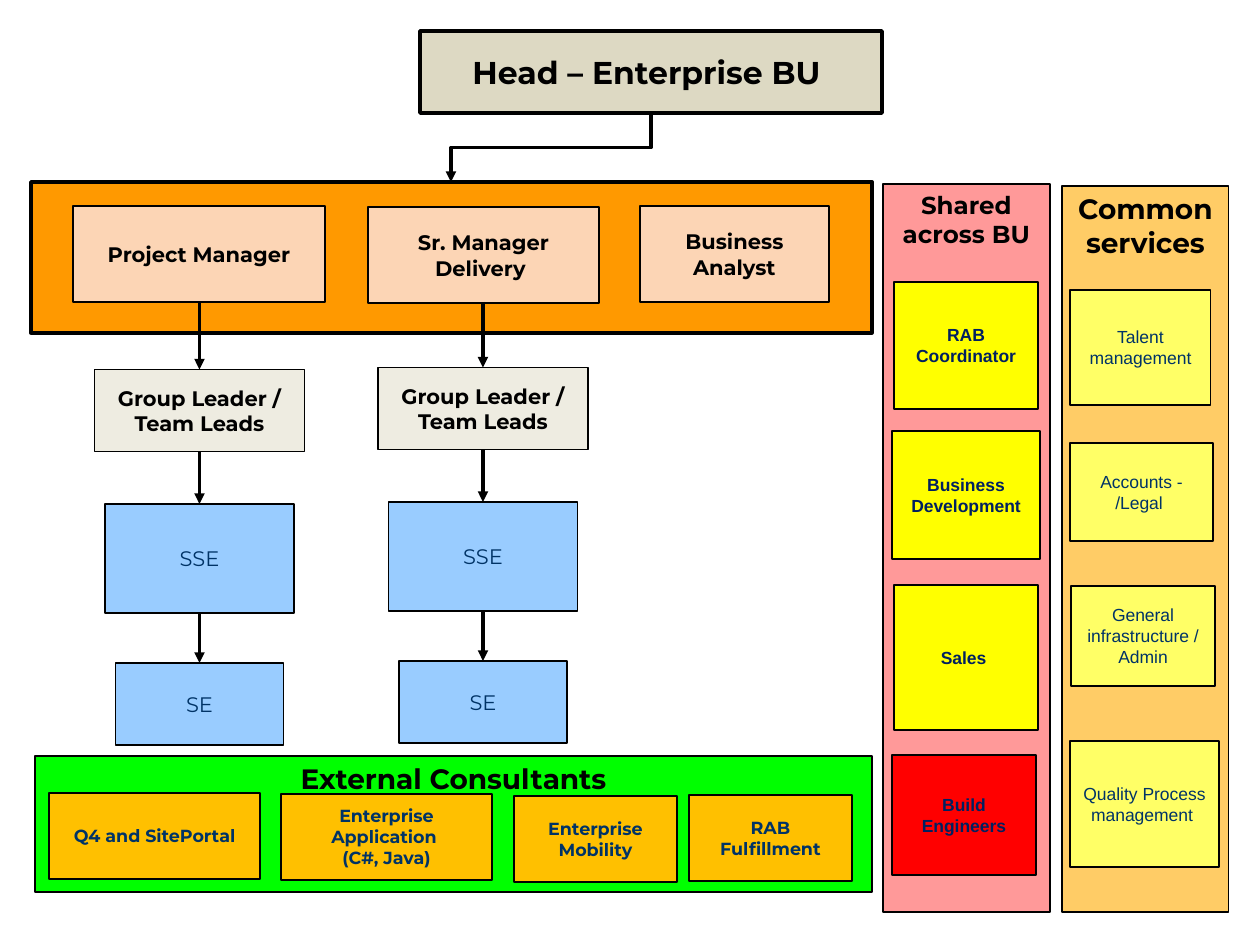
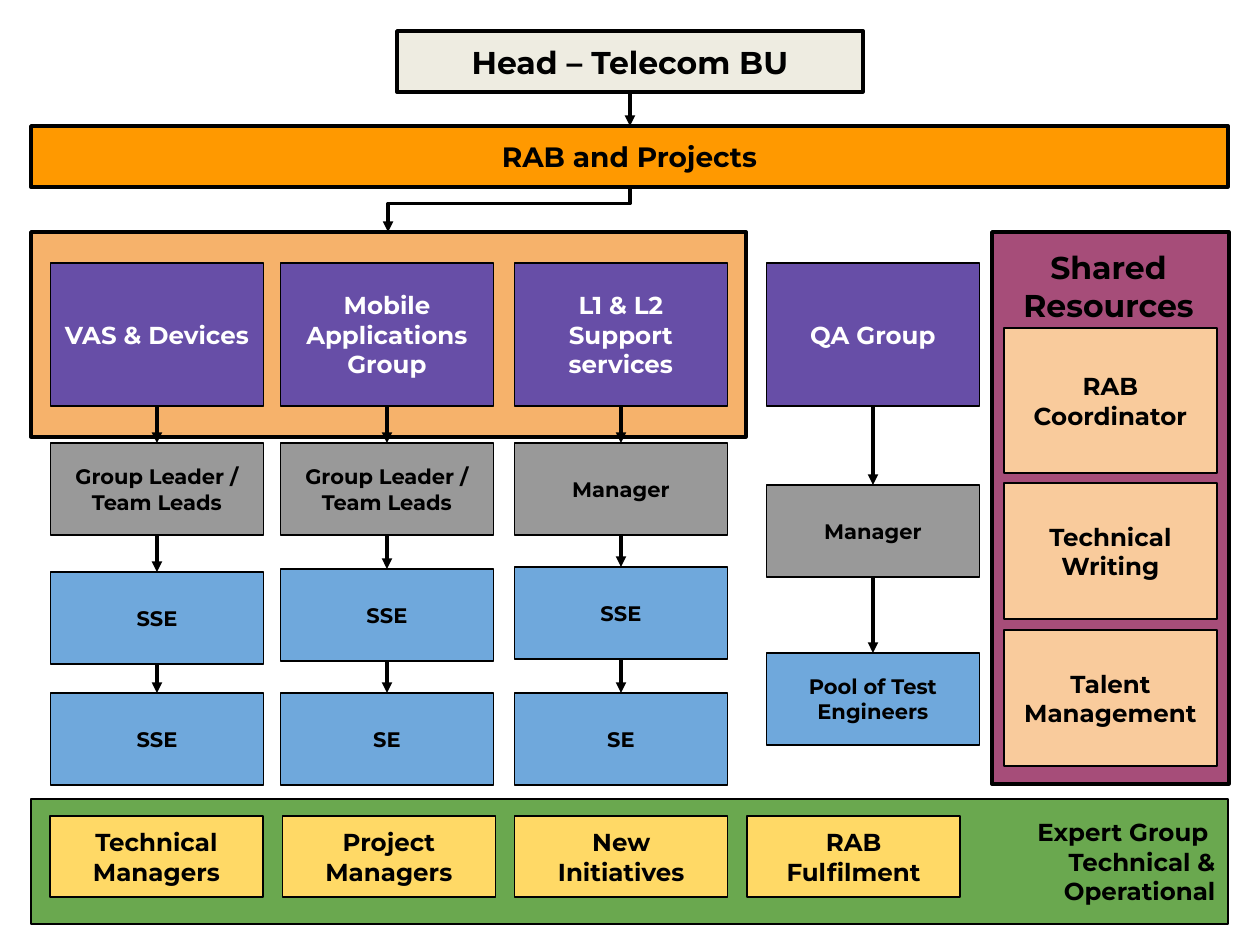
from dataclasses import dataclass, replace

from lxml.etree import SubElement
from pptx import Presentation
from pptx.dml.color import RGBColor
from pptx.enum.shapes import MSO_CONNECTOR as LINK, MSO_SHAPE as SHAPE
from pptx.enum.text import MSO_ANCHOR as ANCHOR, PP_ALIGN as ALIGN
from pptx.oxml.ns import qn
from pptx.util import Emu, Pt

PIXEL = 914400 // 126
BLACK, NAVY, STEEL = "000000", "002060", "003366"
ORANGE, CREAM = "FF9900", "EEECE1"


@dataclass(frozen=True)
class Style:
    """Look of one kind of box; pad is the top and bottom inset in pixels."""
    fill: str = None
    size: int = 12
    ink: str = BLACK
    bold: bool = True
    font: str = "Montserrat"
    line: float = 1
    anchor: int = ANCHOR.MIDDLE
    align: int = ALIGN.CENTER
    pad: int = 6


def px(length):
    """Turn pixels into EMU."""
    return Emu(round(length * PIXEL))


def color(code):
    """Turn a hex string into a colour."""
    return RGBColor.from_string(code)


def write(frame, style, text):
    """Fill a text frame, one paragraph per line of text."""
    frame.word_wrap = True
    frame.vertical_anchor = style.anchor
    frame.margin_left = frame.margin_right = Pt(7.2)
    frame.margin_top = frame.margin_bottom = px(style.pad)
    for index, line in enumerate(text.split("\n")):
        para = frame.add_paragraph() if index else frame.paragraphs[0]
        para.alignment = style.align
        span = para.add_run()
        span.text = line
        font = span.font
        font.name, font.size, font.bold = style.font, Pt(style.size), style.bold
        font.color.rgb = color(style.ink)


def add_box(page, style, left, top, width, height, text=""):
    """Draw an outlined rectangle, with text when there is some."""
    box = page.shapes.add_shape(
        SHAPE.RECTANGLE, px(left), px(top), px(width), px(height))
    box.shadow.inherit = False
    box.fill.solid()
    box.fill.fore_color.rgb = color(style.fill)
    box.line.color.rgb = color(BLACK)
    box.line.width = Pt(style.line)
    if text:
        write(box.text_frame, style, text)


def add_label(page, style, left, top, width, height, text):
    """Draw text without a frame."""
    box = page.shapes.add_textbox(px(left), px(top), px(width), px(height))
    write(box.text_frame, style, text)


def add_arrow(page, x1, y1, x2, y2, kind=LINK.STRAIGHT):
    """Draw a black connector with a triangle at its end."""
    arrow = page.shapes.add_connector(kind, px(x1), px(y1), px(x2), px(y2))
    arrow.line.color.rgb = color(BLACK)
    arrow.line.width = Pt(2)
    SubElement(arrow.line._get_or_add_ln(), qn("a:tailEnd"), type="triangle")
    SubElement(arrow._element.spPr, qn("a:effectLst"))
    return arrow


def add_elbow(page, x1, y1, x2, y2, bend):
    """Draw an arrow down, left and down, turning at a share of its drop."""
    middle_x, middle_y = (x1 + x2) / 2, (y1 + y2) / 2
    drop, run = (y2 - y1) / 2, (x1 - x2) / 2
    arrow = add_arrow(page, middle_x - drop, middle_y - run,
                      middle_x + drop, middle_y + run, LINK.ELBOW)
    properties = arrow._element.spPr
    properties.find(qn("a:xfrm")).set("rot", str(90 * 60000))
    guides = properties.find(qn("a:prstGeom")).find(qn("a:avLst"))
    SubElement(guides, qn("a:gd"), name="adj1",
               fmla=f"val {round(bend * 100000)}")


def add_chain(page, center, bottom, steps):
    """Draw boxes under one another, each with an arrow from the one above."""
    for style, top, width, height, text in steps:
        add_box(page, style, center - width / 2, top, width, height, text)
        add_arrow(page, center, bottom, center, top)
        bottom = top + height


def add_boxes(page, style, items):
    """Draw several boxes of one style."""
    for item in items:
        add_box(page, style, *item)


def enterprise_page(page):
    """Organisation of the enterprise unit."""
    manager = Style("FCD5B5")
    leader = Style(CREAM, line=0.75)
    engineer = Style("99CCFF", ink=STEEL, bold=False)
    panel = Style("FF9999", 14, line=0.75, anchor=ANCHOR.TOP)
    shared = Style("FFFF00", 10, NAVY, font="Arial", line=0.75)
    common = Style("FFFF66", 10, STEEL, False, "Arial", 0.75)
    consultant = Style("FFC000", 10, STEEL)

    add_box(page, Style(ORANGE, line=2), 31, 182, 841, 151)
    add_box(page, Style("DDD9C3", 18, line=2), 420, 31, 462, 82,
            "Head – Enterprise BU ")
    add_boxes(page, manager, [
        (73, 206, 252, 96, "Project Manager"),
        (368, 207, 231, 96, "Sr. Manager Delivery "),
        (640, 206, 189, 96, "Business Analyst")])
    add_elbow(page, 651, 113, 451, 182, 0.5)

    for center, top in ((199.5, 369.5), (483, 367.5)):
        add_chain(page, center, 302, [
            (leader, top, 210, 82, "Group Leader / Team Leads"),
            (engineer, top + 134.5, 189, 109, "SSE"),
            (engineer, top + 293.5, 168, 82, "SE")])

    add_box(page, panel, 883, 184, 167, 728, "Shared across BU")
    add_boxes(page, shared, [
        (894, 282, 144, 127, "RAB Coordinator"),
        (892, 431, 148, 128, "Business Development"),
        (894, 585, 144, 145, "Sales ")])
    add_box(page, replace(shared, fill="FF0000"), 892, 755, 144, 120,
            "Build Engineers")

    add_box(page, replace(panel, fill="FFCC66", size=16),
            1062, 186, 167, 726, "Common services")
    add_boxes(page, common, [
        (1070, 290, 141, 115, "Talent management"),
        (1070, 443, 143, 98, "Accounts - /Legal "),
        (1071, 586, 144, 100, "General infrastructure / Admin"),
        (1070, 741, 149, 126, "Quality Process management ")])

    add_box(page, replace(panel, fill="00FF00", size=16),
            35, 756, 837, 136, "External Consultants")
    add_boxes(page, consultant, [
        (49, 793, 211, 86, "Q4 and SitePortal"),
        (281, 794, 211, 86, "Enterprise Application \n(C#, Java)"),
        (514, 796, 163, 86, "Enterprise Mobility"),
        (689, 795, 163, 86, "RAB Fulfillment")])


def telecom_page(page):
    """Organisation of the telecom unit."""
    base = Style(pad=12.6)
    frame = replace(base, line=2)
    unit = replace(base, fill="674EA7", size=14, ink="FFFFFF")
    leader = replace(base, fill="999999")
    engineer = replace(base, fill="6FA8DC")
    resource = replace(base, fill="F9CB9C", size=14)
    expert = replace(base, fill="FFD966", size=14, line=0.75)
    width, unit_top, unit_height, height = 213, 263, 143, 92

    add_box(page, replace(frame, fill=CREAM, size=18), 397, 31, 466, 61,
            "Head – Telecom BU")
    add_box(page, replace(frame, fill=ORANGE, size=16), 31, 126, 1197, 61,
            "RAB and Projects")
    add_box(page, replace(frame, fill="F6B26B"), 31, 232, 715, 205)
    add_arrow(page, 630, 92, 630, 126)
    add_elbow(page, 630, 187, 388, 232, 0.365)

    lead = "Group Leader / Team Leads"
    columns = [
        (157, "VAS & Devices", [(leader, 443, lead), (engineer, 572, "SSE"),
                                (engineer, 693, "SSE")]),
        (387, "Mobile Applications Group",
         [(leader, 443, lead), (engineer, 569, "SSE"),
          (engineer, 693, "SE")]),
        (621, "L1 & L2 Support services",
         [(leader, 443, "Manager"), (engineer, 567, "SSE"),
          (engineer, 693, "SE")]),
        (873, "QA Group", [(leader, 485, "Manager"),
                           (engineer, 653, "Pool of Test Engineers")])]
    for center, name, steps in columns:
        add_box(page, unit, center - width / 2, unit_top, width, unit_height,
                name)
        add_chain(page, center, unit_top + unit_height,
                  [(style, top, width, height, text)
                   for style, top, text in steps])

    add_box(page, replace(frame, fill="A64D79"), 992, 232, 237, 552)
    add_boxes(page, resource, [
        (1004, 328, width, 145, "RAB Coordinator"),
        (1004, 483, width, 136, "Technical Writing"),
        (1004, 630, width, 136, "Talent Management")])
    add_label(page, Style(size=18, anchor=ANCHOR.TOP), 998, 242, 221, 89,
              "Shared Resources")

    add_box(page, replace(expert, fill="6AA84F", align=ALIGN.RIGHT),
            31, 799, 1197, 125, "Expert Group \nTechnical &\nOperational")
    names = ("Technical Managers", "Project Managers", "New Initiatives",
             "RAB Fulfilment")
    for index, name in enumerate(names):
        add_box(page, expert, 50 + 232.4 * index, 816, width, 81, name)


def main():
    """Build and save the deck."""
    deck = Presentation()
    deck.slide_width, deck.slide_height = px(1260), px(945)
    for draw in (enterprise_page, telecom_page):
        draw(deck.slides.add_slide(deck.slide_layouts[6]))
    deck.save("out.pptx")


main()
